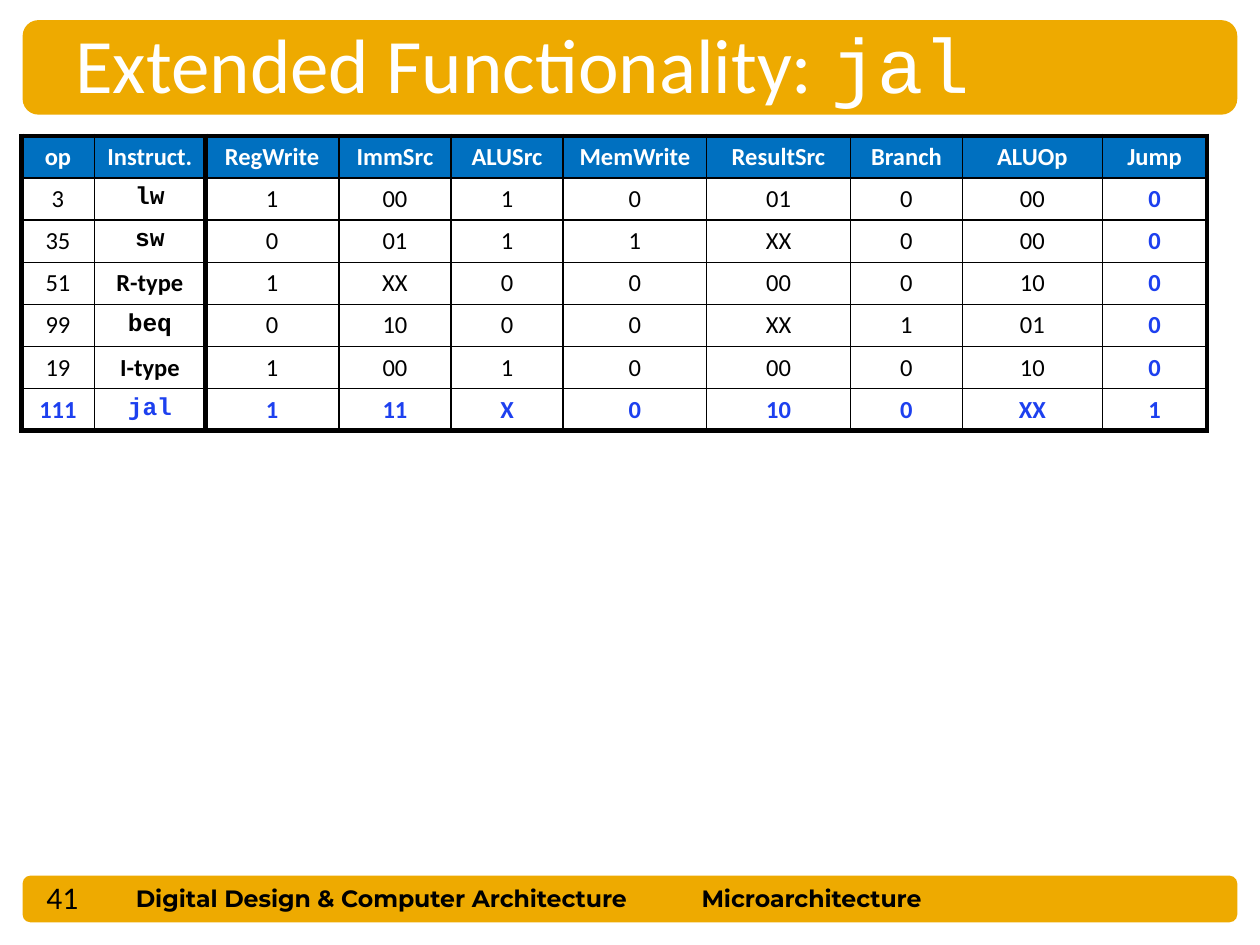
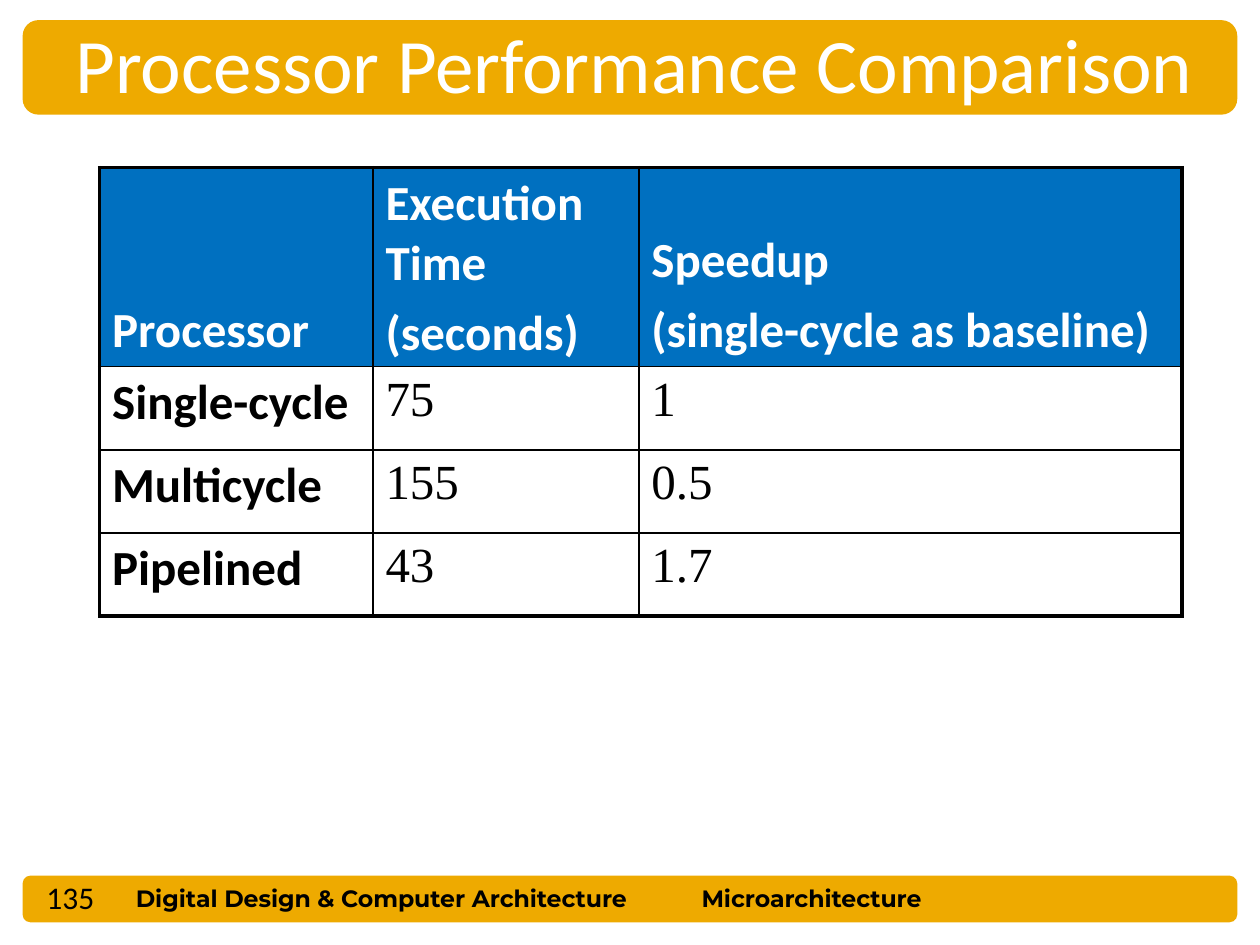
from lxml import etree
from pptx import Presentation
from pptx.dml.color import RGBColor
from pptx.enum.shapes import MSO_SHAPE
from pptx.enum.text import MSO_ANCHOR, PP_ALIGN
from pptx.oxml.ns import qn
from pptx.util import Pt

ROUND = MSO_SHAPE.ROUNDED_RECTANGLE
TOP, BOTTOM = MSO_ANCHOR.TOP, MSO_ANCHOR.BOTTOM
LEFT, CENTER = PP_ALIGN.LEFT, PP_ALIGN.CENTER

GOLD = RGBColor(0xEE, 0xAA, 0x00)
NAVY = RGBColor(0x00, 0x70, 0xC0)
BLUE = RGBColor(0x1D, 0x40, 0xEF)
WHITE = RGBColor(0xFF, 0xFF, 0xFF)
BLACK = RGBColor(0x00, 0x00, 0x00)

SANS, MONO, SERIF = "Calibri", "Courier New", "Times New Roman"
SCALE = 9144  # EMU per px, 100 px to the inch

# Text formats
TITLE = dict(name=SANS, size=Pt(44), color=WHITE)
CODE = TITLE | dict(name=MONO)
FOOT = dict(name="Montserrat", size=Pt(13.5), bold=True, color=BLACK)
PAGE = dict(name=SANS, size=Pt(18), color=BLACK)


def px(*vals):
    return [val * SCALE for val in vals]


class Deck:
    def __init__(self):
        self.prs = Presentation()
        self.prs.slide_width, self.prs.slide_height = px(1000, 750)
        self.slide = None

    def style(self, font, form):
        for key, val in form.items():
            if key == "color":
                font.color.rgb = val
            else:
                setattr(font, key, val)

    def band(self, *box):
        shape = self.slide.shapes.add_shape(ROUND, *px(*box))
        shape.shadow.inherit = False
        shape.fill.solid()
        shape.fill.fore_color.rgb = GOLD
        shape.line.fill.background()

    def text(self, box, *runs):
        frame = self.slide.shapes.add_textbox(*px(*box)).text_frame
        frame.word_wrap = True
        for words, form in runs:
            run = frame.paragraphs[0].add_run()
            run.text = words
            self.style(run.font, form)

    def page(self, num, *title):
        """Start a slide with its bands, footer, title and number."""
        self.slide = self.prs.slides.add_slide(self.prs.slide_layouts[6])
        self.band(18, 695, 964, 37)
        self.band(18, 16, 964, 75)
        self.text((98, 697, 444, 33), ("Digital Design & Computer Architecture", FOOT))
        self.text((547, 697, 294, 33), ("Microarchitecture", FOOT))
        self.text((50, 8, 917, 84), *title)
        self.text((27, 692, 82, 39), (num, PAGE))

    def edges(self, cell, widths):
        props = cell._tc.get_or_add_tcPr()
        for side, width in zip("LRTB", widths):
            line = etree.SubElement(props, qn(f"a:ln{side}"), w=str(Pt(width)))
            fill = etree.SubElement(line, qn("a:solidFill"))
            etree.SubElement(fill, qn("a:srgbClr"), val=str(BLACK))

    def table(self, spot, cols, tall, rows, form, thick, bars=(),
              align=LEFT, head=TOP, pad=10):
        """Draw a grid; form(row, col, words) gives the format of a cell."""
        size = sum(cols), sum(tall)
        grid = self.slide.shapes.add_table(len(rows), len(cols), *px(*spot, *size)).table
        grid.first_row = grid.horz_banding = False
        for col, width in zip(grid.columns, px(*cols)):
            col.width = width
        for row, height in zip(grid.rows, px(*tall)):
            row.height = height
        walls = {0, len(cols), *bars}
        floors = {0, len(rows)}
        for r, row in enumerate(rows):
            for c, words in enumerate(row):
                cell = grid.cell(r, c)
                self.edges(cell, [thick if hit else 1 for hit in (
                    c in walls, c + 1 in walls, r in floors, r + 1 in floors)])
                cell.margin_left = cell.margin_right = pad * SCALE
                if r == 0:
                    cell.vertical_anchor = head
                    cell.fill.solid()
                    cell.fill.fore_color.rgb = NAVY
                else:
                    cell.fill.background()
                cell.text = words
                for n, para in enumerate(cell.text_frame.paragraphs):
                    para.alignment = align
                    if n:
                        para.space_before = Pt(5.6)
                    self.style(para.runs[0].font, form(r, c, words))


# Control signals of each instruction
SIGNALS = [line.split() for line in (
    "op Instruct. RegWrite ImmSrc ALUSrc MemWrite ResultSrc Branch ALUOp Jump",
    "3 lw 1 00 1 0 01 0 00 0",
    "35 sw 0 01 1 1 XX 0 00 0",
    "51 R-type 1 XX 0 0 00 0 10 0",
    "99 beq 0 10 0 0 XX 1 01 0",
    "19 I-type 1 00 1 0 00 0 10 0",
    "111 jal 1 11 X 0 10 0 XX 1",
)]

# Run time of each processor
TIMES = [
    ("Processor", "Execution Time\n(seconds)", "Speedup\n(single-cycle as baseline)"),
    ("Single-cycle", "75", "1"),
    ("Multicycle", "155", "0.5"),
    ("Pipelined", "43", "1.7"),
]


def signal(r, c, words):
    fresh = r == 6 or c == 9
    return dict(
        name=MONO if words in ("lw", "sw", "beq", "jal") else SANS,
        size=Pt(14), bold=r == 0 or c == 1 or fresh,
        color=WHITE if r == 0 else BLUE if fresh else BLACK)


def timing(r, c, words):
    label = r == 0 or c == 0
    return dict(name=SANS if label else SERIF, size=Pt(28), bold=label,
                color=BLACK if r else WHITE)


def main():
    deck = Deck()

    # Slide 1: control table with jal
    deck.page("41", ("Extended Functionality: ", TITLE), ("jal", CODE))
    deck.table((17, 108), (58, 88, 106, 89, 89, 114, 114, 89, 111, 83), [33] * 7,
               SIGNALS, signal, thick=3, bars=[2], align=CENTER, pad=5)

    # Slide 2: speed of the processors
    deck.page("135", ("Processor Performance Comparison", TITLE))
    deck.table((79, 133), (217, 211, 431), [158] + [66] * 3,
               TIMES, timing, thick=2.25, head=BOTTOM)

    deck.prs.save("out.pptx")


if __name__ == "__main__":
    main()
